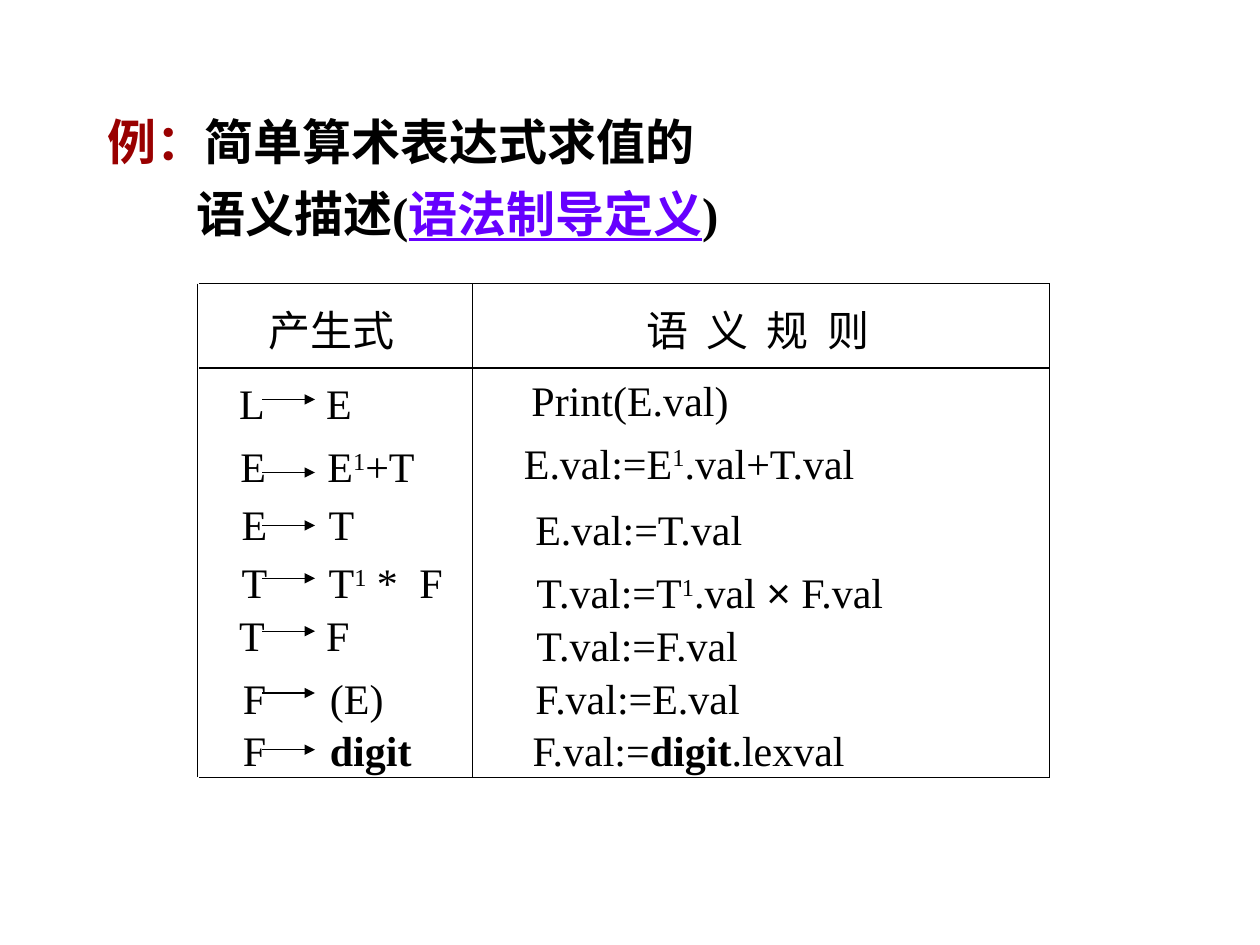
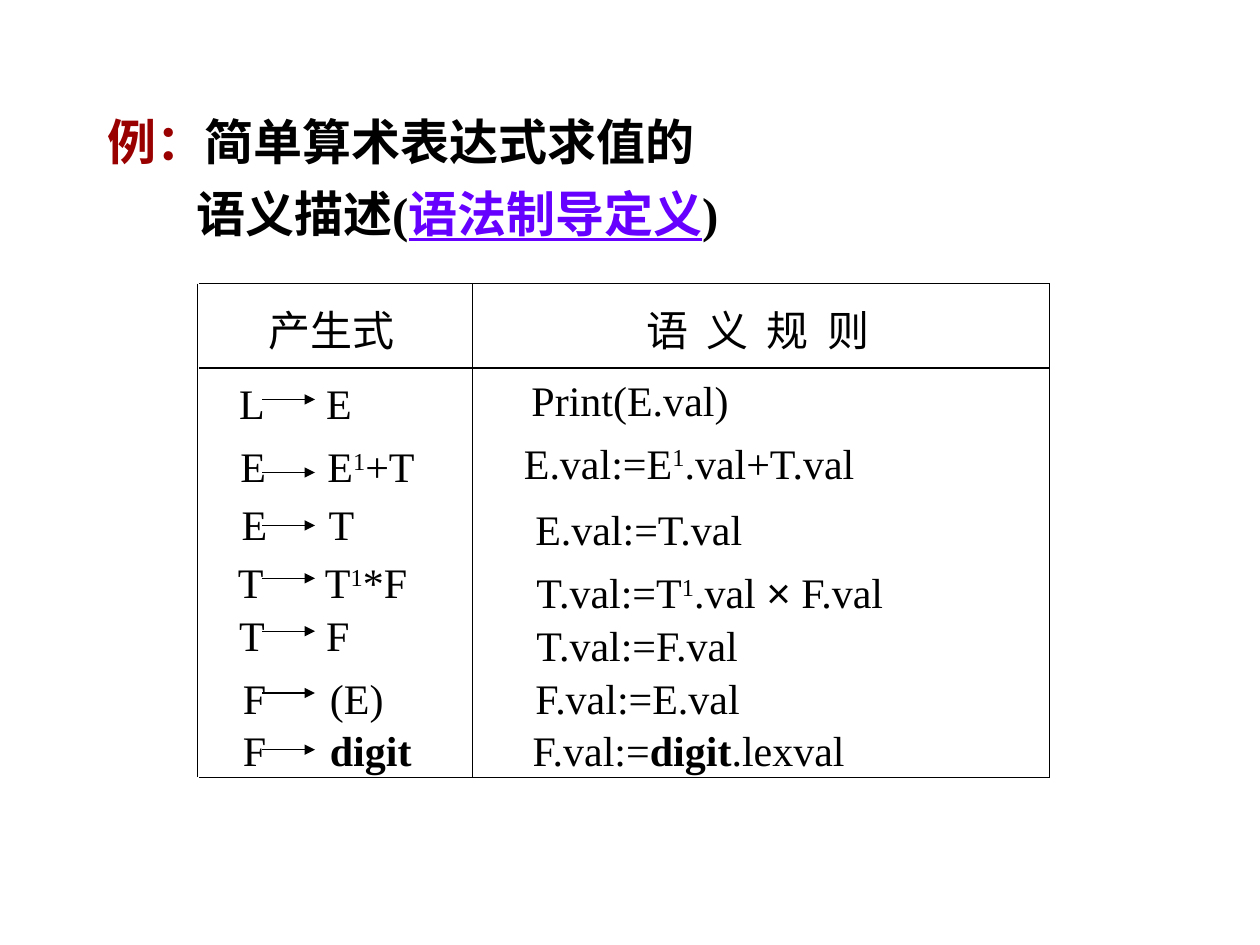
import dataclasses

import pptx
import pptx.dml.color
import pptx.enum.shapes
import pptx.enum.text
import pptx.oxml
import pptx.oxml.ns
import pptx.util

Inches = pptx.util.Inches
Pt = pptx.util.Pt
ALIGN = pptx.enum.text.PP_ALIGN


@dataclasses.dataclass(frozen=True)
class Theme:
    """Colours, fonts and sizes shared by both slides."""

    ink: str = "000000"
    label: str = "990000"
    term: str = "6600FF"
    latin: str = "Times New Roman"
    chinese: str = "Noto Sans CJK SC"
    symbol: str = "Arial"
    heading_size: int = 28
    text_size: int = 24
    line_width: float = 0.75


@dataclasses.dataclass(frozen=True)
class Box:
    """A rectangle in inches."""

    left: float
    top: float
    width: float
    height: float

    def inside(self, left, top, width, height):
        """Return a box placed relative to this one."""
        return Box(self.left + left, self.top + top, width, height)

    def lengths(self):
        """Return left, top, width and height as lengths."""
        return [Inches(value) for value in dataclasses.astuple(self)]


THEME = Theme()
HEADING_BOX = Box(0.75, 0.83, 8.58, 5.67)
GRID_BOX = Box(1.58, 2.25, 6.75, 3.92)
COLUMN_SPLIT = 2.17
HEADER_HEIGHT = 0.67
ROW_HEIGHT = 0.5
ARROW_SPAN = (0.5, 0.92)
BODY_TAB = 0.69

BOLD = {"bold": True}
RAISED = {"raised": True}

TIMES_SPACED = (0.24, 2.12, 1.9, [("T\tT", {}), ("1", RAISED), (" *\tF", {})])
TIMES_CLOSE = (0.21, 2.12, 1.55, [("T\tT", {}), ("1", RAISED), ("*F", {})])

RULES = [
    (2.54, 0.67, 2.0, [("Print(E.val)", {})]),
    (2.48, 1.17, 3.0, [("E.val:=E", {}), ("1", RAISED), (".val+T.val", {})]),
    (2.57, 1.7, 2.0, [("E.val:=T.val", {})]),
    (2.58, 2.2, 3.1, [("T.val:=T", {}), ("1", RAISED), (".val ", {}),
                      ("×", {"latin": THEME.symbol}), (" F.val", {})]),
    (2.58, 2.62, 2.0, [("T.val:=F.val", {})]),
    (2.57, 3.04, 2.0, [("F.val:=E.val", {})]),
    (2.55, 3.45, 2.8, [("F.val:=", {}), ("digit", BOLD), (".lexval", {})]),
]
ARROW_HEIGHTS = [0.92, 1.5, 1.92, 2.34, 2.76, 3.25, 3.7]


def productions(times_row):
    """Return the left column with the given multiplication row."""
    return [
        (0.22, 0.7, 1.2, [("L\tE", {})]),
        (0.23, 1.2, 1.75, [("E\tE", {}), ("1", RAISED), ("+T", {})]),
        (0.24, 1.66, 1.2, [("E\tT", {})]),
        times_row,
        (0.22, 2.54, 1.2, [("T\tF", {})]),
        (0.25, 3.04, 1.5, [("F\t(E)", {})]),
        (0.25, 3.45, 1.75, [("F\t", {}), ("digit", BOLD)]),
    ]


def add_element(parent, tag, **attributes):
    """Append a drawing element to a parent and return it."""
    element = pptx.oxml.parse_xml(f"<a:{tag} {pptx.oxml.ns.nsdecls('a')}/>")
    for name, value in attributes.items():
        element.set(name, str(value))
    parent.append(element)
    return element


def add_span(para, text, size=THEME.text_size, color=THEME.ink, latin=THEME.latin,
             bold=False, underline=False, raised=False, spacing=0):
    """Add one formatted run to a paragraph."""
    span = para.add_run()
    span.text = text
    span.font.size = Pt(size)
    span.font.name = latin
    span.font.bold = bold
    span.font.underline = underline
    span.font.color.rgb = pptx.dml.color.RGBColor.from_string(color)
    properties = span.font._element
    add_element(properties, "ea", typeface=THEME.chinese)
    if raised:
        properties.set("baseline", "30000")
    if spacing:
        properties.set("spc", str(spacing))


def add_text(page, box, spans, align=ALIGN.LEFT, tabs=()):
    """Add a one-line text box with optional tab stops."""
    frame = page.shapes.add_textbox(*box.lengths()).text_frame
    frame.word_wrap = True
    frame.vertical_anchor = pptx.enum.text.MSO_ANCHOR.MIDDLE
    para = frame.paragraphs[0]
    para.alignment = align
    if tabs:
        stops = add_element(para._p.get_or_add_pPr(), "tabLst")
        for stop in tabs:
            add_element(stops, "tab", pos=Inches(stop), algn="l")
    for text, style in spans:
        add_span(para, text, **style)


def add_line(page, box, start, end, arrow=False):
    """Draw a line between two points relative to a box."""
    points = [Inches(value) for value in (
        box.left + start[0], box.top + start[1], box.left + end[0], box.top + end[1])]
    line = page.shapes.add_connector(
        pptx.enum.shapes.MSO_CONNECTOR.STRAIGHT, *points)
    line.line.color.rgb = pptx.dml.color.RGBColor.from_string(THEME.ink)
    line.line.width = Pt(THEME.line_width)
    if arrow:
        add_element(line.line._get_or_add_ln(), "tailEnd", type="triangle")
    add_element(line._element.spPr, "effectLst")


def fill_heading(page, box):
    """Write the two-line heading in the body placeholder."""
    title = page.shapes.title
    title._element.getparent().remove(title._element)
    body = page.placeholders[1]
    body.left, body.top, body.width, body.height = box.lengths()
    frame = body.text_frame
    frame.auto_size = pptx.enum.text.MSO_AUTO_SIZE.NONE
    frame.vertical_anchor = pptx.enum.text.MSO_ANCHOR.TOP
    lines = [
        (0.38, -0.38, 0, [("例：", {"color": THEME.label}), ("简单算术表达式求值的", {})]),
        (0.71, 0, 7, [("语义描述(", {}),
                      ("语法制导定义", {"color": THEME.term, "underline": True}),
                      (")", {})]),
    ]
    for index, (margin, indent, before, spans) in enumerate(lines):
        para = frame.add_paragraph() if index else frame.paragraphs[0]
        properties = para._p.get_or_add_pPr()
        properties.set("marL", str(Inches(margin)))
        properties.set("indent", str(Inches(indent)))
        add_element(properties, "buNone")
        para.alignment = ALIGN.LEFT
        para.line_spacing = Pt(34)
        para.space_before = Pt(before)
        for text, style in spans:
            add_span(para, text, size=THEME.heading_size, bold=True, **style)


def draw_grid(page, box):
    """Draw the ruled frame and its two column headers."""
    for height in (0, HEADER_HEIGHT, box.height):
        add_line(page, box, (0, height), (box.width, height))
    for offset in (-0.01, COLUMN_SPLIT, box.width):
        add_line(page, box, (offset, 0), (offset, box.height))
    headers = [
        (0.34, 1.42, "产生式", 0),
        (3.17, 2.53, "语 义 规 则", 260),
    ]
    for left, width, text, spacing in headers:
        style = {"latin": THEME.chinese, "spacing": spacing}
        add_text(page, box.inside(left, 0.12, width, ROW_HEIGHT),
                 [(text, style)], ALIGN.CENTER)


def fill_grid(page, box, left_column):
    """Write the productions, their arrows and the semantic rules."""
    for column, tabs in ((left_column, (BODY_TAB, 1.41)), (RULES, ())):
        for left, top, width, spans in column:
            add_text(page, box.inside(left, top, width, ROW_HEIGHT), spans, tabs=tabs)
    start, end = ARROW_SPAN
    for height in ARROW_HEIGHTS:
        add_line(page, box, (start, height), (end, height), arrow=True)


def build_page(deck, times_row):
    """Add one slide with the heading and the grid of rules."""
    page = deck.slides.add_slide(deck.slide_layouts[1])
    fill_heading(page, HEADING_BOX)
    draw_grid(page, GRID_BOX)
    fill_grid(page, GRID_BOX, productions(times_row))


def main():
    """Build and save the deck."""
    deck = pptx.Presentation()
    deck.slide_width, deck.slide_height = Inches(10), Inches(7.5)
    for times_row in (TIMES_SPACED, TIMES_CLOSE):
        build_page(deck, times_row)
    deck.save("out.pptx")


if __name__ == "__main__":
    main()
